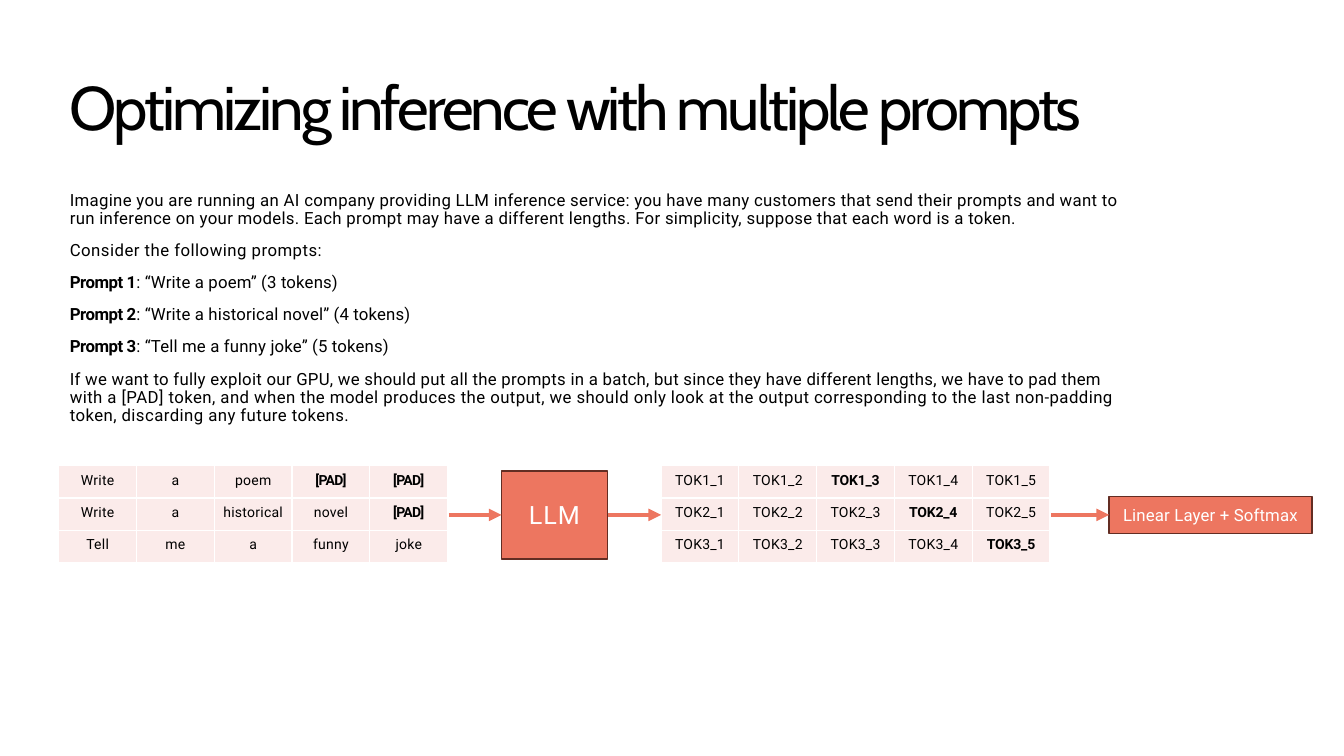
from lxml.etree import SubElement
from pptx import Presentation
from pptx.dml.color import RGBColor
from pptx.enum.shapes import MSO_CONNECTOR, MSO_SHAPE
from pptx.enum.text import MSO_ANCHOR, PP_ALIGN
from pptx.oxml.ns import qn
from pptx.util import Cm, Pt

CORAL, PINK, BROWN = "ED7660", "FBEBEA", "632D23"
LEFT, RIGHT = 1, 3  # connection sites of a rectangle

PROMPT_TOKENS = [
    ["Write", "a", "poem", "[PAD]", "[PAD]"],
    ["Write", "a", "historical", "novel", "[PAD]"],
    ["Tell", "me", "a", "funny", "joke"],
]
OUTPUT_TOKENS = [[f"TOK{row}_{col}" for col in range(1, 6)] for row in range(1, 4)]
LAST_TOKENS = {"TOK1_3", "TOK2_4", "TOK3_5"}
PROMPTS = ["“Write a poem” (3 tokens)", "“Write a historical novel” (4 tokens)",
           "“Tell me a funny joke” (5 tokens)"]


def color(value):
    return RGBColor.from_string(value)


def add_text(p, text, size=12, font="Roboto", fill="000000", bold=False, spacing=0.0):
    r = p.add_run()
    r.text = text
    r.font.size, r.font.name, r.font.bold = Pt(size), font, bold
    r.font.color.rgb = color(fill)
    r._r.get_or_add_rPr().set("spc", str(round(spacing * 100)))


def set_frame(tf, anchor=MSO_ANCHOR.TOP, left=0, top=0, right=0):
    tf.word_wrap = True
    tf.vertical_anchor = anchor
    tf.margin_left, tf.margin_top = Cm(left), Cm(top)
    tf.margin_right, tf.margin_bottom = Cm(right), 0


def add_title(s, x, y, w, h):
    sp = s.shapes.title
    sp.left, sp.top, sp.width, sp.height = Cm(x), Cm(y), Cm(w), Cm(h)
    set_frame(sp.text_frame, left=0.03, top=0.03)
    p = sp.text_frame.paragraphs[0]
    p.alignment = PP_ALIGN.LEFT
    add_text(p, "Optimizing inference with multiple prompts",
             size=44, font="Cabin", spacing=-2.15)


def add_body(s, x, y, w, h):
    tf = s.shapes.add_textbox(Cm(x), Cm(y), Cm(w), Cm(h)).text_frame
    set_frame(tf, left=0.03, top=0.1, right=0.38)

    # Introduction
    p = tf.paragraphs[0]
    p.line_spacing = Pt(13)
    add_text(p, "Imagine you are running an AI company providing LLM inference service: "
             "you have many customers that send their prompts and want to run inference "
             "on your models. Each prompt may have a different lengths. For simplicity, "
             "suppose that each word is a token.", spacing=0.22)
    p = tf.add_paragraph()
    p.space_before = Pt(8.4)
    add_text(p, "Consider the following prompts:", spacing=0.35)

    # Prompts
    for number, prompt in enumerate(PROMPTS, 1):
        p = tf.add_paragraph()
        p.space_before = Pt(8.6)
        add_text(p, f"Prompt {number}", bold=True, spacing=-0.3)
        add_text(p, f": {prompt}", spacing=0.1)

    # Padding
    p = tf.add_paragraph()
    p.line_spacing, p.space_before = Pt(13), Pt(10.1)
    add_text(p, "If we want to fully exploit our GPU, we should put all the prompts in a "
             "batch, but since they have different lengths, we have to pad them ", spacing=0.2)
    add_text(p, "with a [PAD] token, and when the model produces the output, we should only "
             "look at the output corresponding to the last non-padding token, discarding "
             "any future tokens.", spacing=0.3)


def add_borders(cell):
    tc_pr = cell._tc.get_or_add_tcPr()
    for index, side in enumerate(("lnL", "lnR", "lnT", "lnB")):
        ln = tc_pr.makeelement(qn(f"a:{side}"), {"w": str(Pt(1))})
        tc_pr.insert(index, ln)
        fill = SubElement(ln, qn("a:solidFill"))
        SubElement(fill, qn("a:srgbClr"), val="FFFFFF")


def add_token_table(s, tokens, bold_tokens, x, y, w, h):
    rows, cols = len(tokens), len(tokens[0])
    table = s.shapes.add_table(rows, cols, Cm(x), Cm(y), Cm(w), Cm(h)).table
    table.first_row = table.horz_banding = False
    for i, row in enumerate(tokens):
        for j, token in enumerate(row):
            cell = table.cell(i, j)
            cell.fill.solid()
            cell.fill.fore_color.rgb = color(PINK)
            cell.margin_left = cell.margin_right = cell.margin_bottom = 0
            cell.margin_top = Cm(0.16)
            add_borders(cell)
            p = cell.text_frame.paragraphs[0]
            p.alignment = PP_ALIGN.CENTER
            bold = token in bold_tokens
            tight = -0.5 if token == "[PAD]" else -0.1
            add_text(p, token, size=10, bold=bold, spacing=tight if bold else 0.2)


def add_block(s, text, x, y, w, h, **text_format):
    sp = s.shapes.add_shape(MSO_SHAPE.RECTANGLE, Cm(x), Cm(y), Cm(w), Cm(h))
    sp.shadow.inherit = False
    sp.fill.solid()
    sp.fill.fore_color.rgb = color(CORAL)
    sp.line.color.rgb = color(BROWN)
    sp.line.width = Pt(1)
    set_frame(sp.text_frame, anchor=MSO_ANCHOR.MIDDLE)
    p = sp.text_frame.paragraphs[0]
    p.alignment = PP_ALIGN.CENTER
    add_text(p, text, fill="FFFFFF", **text_format)
    return sp


def add_arrow(s, x1, x2, y, source=None, target=None):
    arrow = s.shapes.add_connector(MSO_CONNECTOR.STRAIGHT, Cm(x1), Cm(y), Cm(x2), Cm(y))
    if source is not None:
        arrow.begin_connect(source, RIGHT)
    if target is not None:
        arrow.end_connect(target, LEFT)
    arrow.line.color.rgb = color(CORAL)
    arrow.line.width = Pt(3)
    SubElement(arrow.line._get_or_add_ln(), qn("a:tailEnd"), type="triangle")
    SubElement(arrow._element.spPr, qn("a:effectLst"))


def add_pipeline(s, x, y, h):
    table_w, llm_w, llm_h, head_w, head_h = 9.8, 2.67, 2.22, 5.12, 0.94
    llm_x, output_x, head_x = x + 11.16, x + 15.18, x + 26.47
    middle = y + h / 2 + 0.02

    # Tables and blocks
    add_token_table(s, PROMPT_TOKENS, {"[PAD]"}, x, y, table_w, h)
    llm = add_block(s, "LLM", llm_x, middle - llm_h / 2, llm_w, llm_h,
                    size=18, spacing=0.7)
    add_token_table(s, OUTPUT_TOKENS, LAST_TOKENS, output_x, y, table_w, h)
    head = add_block(s, "Linear Layer + Softmax", head_x, middle - head_h / 2,
                     head_w, head_h, spacing=0.1)

    # Arrows
    add_arrow(s, x + table_w + 0.03, llm_x, middle, target=llm)
    add_arrow(s, llm_x + llm_w, output_x, middle, source=llm)
    add_arrow(s, output_x + table_w + 0.03, head_x, middle, target=head)


def main():
    prs = Presentation()
    prs.slide_width, prs.slide_height = Cm(33.87), Cm(19.05)
    s = prs.slides.add_slide(prs.slide_layouts[5])
    add_title(s, 1.73, 1.7, 28, 1.93)
    add_body(s, 1.73, 4.72, 27.05, 6)
    add_pipeline(s, 1.48, 11.74, 2.43)
    prs.save("out.pptx")


if __name__ == "__main__":
    main()
